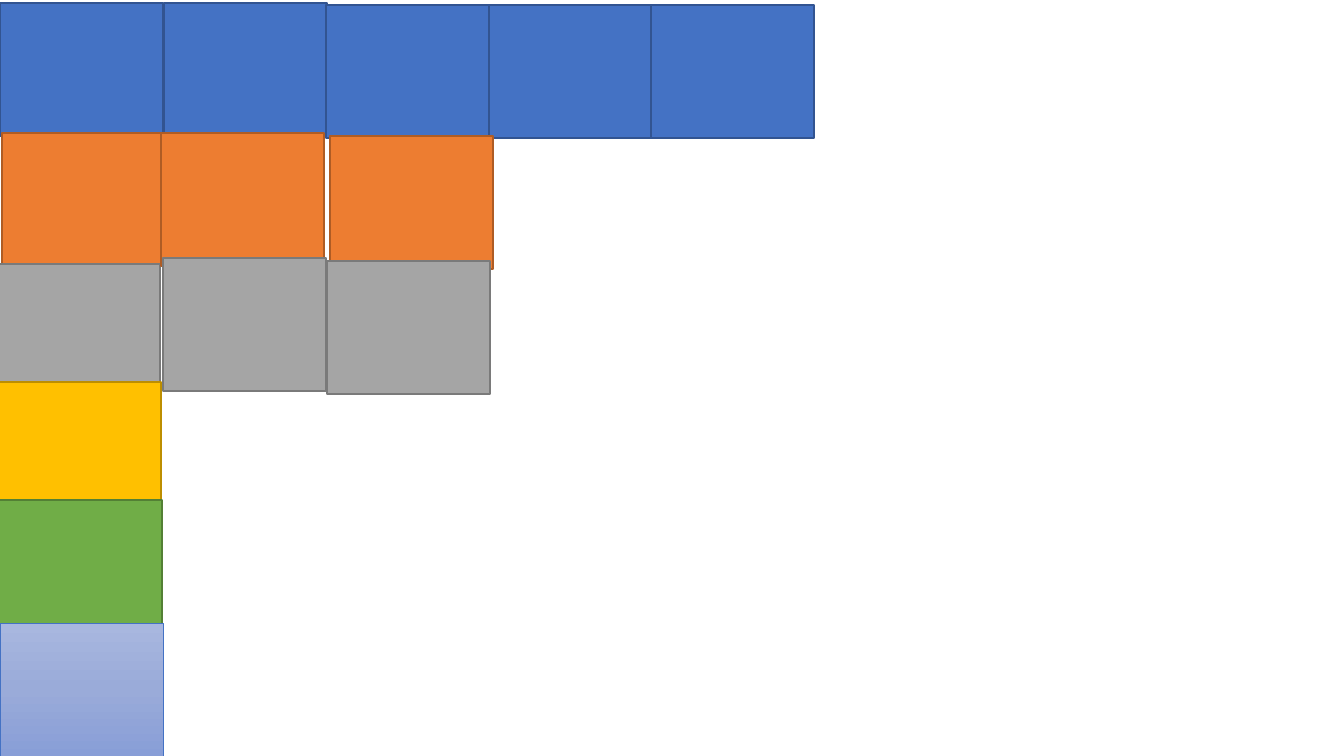
from copy import deepcopy
from dataclasses import dataclass

from pptx import Presentation
from pptx.dml.color import RGBColor
from pptx.enum.shapes import MSO_SHAPE
from pptx.oxml.ns import qn
from pptx.util import Pt

RECTANGLE = MSO_SHAPE.RECTANGLE
EMU_PER_PX = 914400 / 100.8
SLIDE_WIDTH, SLIDE_HEIGHT = 1344, 756
TILE_WIDTH, TILE_HEIGHT = 163, 133


@dataclass(frozen=True)
class Theme:
    """Fill and outline colours with line widths."""
    blue: tuple = ("4472C4", "325491")
    orange: tuple = ("ED7D31", "AF5C24")
    gray: tuple = ("A5A5A5", "7A7A7A")
    yellow: tuple = ("FFC000", "BD8E00")
    green: tuple = ("70AD47", "538035")
    pale_stops: tuple = ((0, "A8B7DF"), (0.5, "9AABD9"), (1, "889ED7"))
    pale_outline: str = "4472C4"
    outline_width: float = 1
    pale_outline_width: float = 0.5


THEME = Theme()

FIRST_COLUMN = (
    (THEME.blue, 0, 3),
    (THEME.orange, 2, 133),
    (THEME.gray, -3, 264),
    (THEME.yellow, -2, 382),
    (THEME.green, -1, 500),
)
PALE_TILE = (0, 623)
ROW_EXTENSIONS = (
    (THEME.blue, ((651, 5), (164, 3), (488, 5), (326, 5))),
    (THEME.orange, ((161, 133), (330, 136))),
    (THEME.gray, ((163, 258), (327, 261))),
)


def px(length):
    """Turn pixels into EMU."""
    return round(length * EMU_PER_PX)


def add_tile(slide, left, top, outline, outline_width):
    """Add an outlined tile that has no shadow."""
    tile = slide.shapes.add_shape(
        RECTANGLE, px(left), px(top), px(TILE_WIDTH), px(TILE_HEIGHT))
    tile.shadow.inherit = False
    tile.line.color.rgb = RGBColor.from_string(outline)
    tile.line.width = Pt(outline_width)
    return tile


def add_solid_tile(slide, colours, left, top):
    """Add a tile with one fill colour."""
    fill_colour, outline = colours
    tile = add_tile(slide, left, top, outline, THEME.outline_width)
    tile.fill.solid()
    tile.fill.fore_color.rgb = RGBColor.from_string(fill_colour)


def add_pale_tile(slide, left, top):
    """Add a tile whose fill darkens downwards."""
    tile = add_tile(slide, left, top, THEME.pale_outline, THEME.pale_outline_width)
    tile.fill.gradient()
    tile.fill.gradient_angle = 270
    stop_list = tile.element.find(".//" + qn("a:gsLst"))
    stop_list.insert(1, deepcopy(stop_list[0]))
    for stop, (position, colour) in zip(tile.fill.gradient_stops, THEME.pale_stops):
        stop.position = position
        stop.color.rgb = RGBColor.from_string(colour)


def main():
    """Build the slide of stacked tile rows."""
    deck = Presentation()
    deck.slide_width, deck.slide_height = px(SLIDE_WIDTH), px(SLIDE_HEIGHT)
    slide = deck.slides.add_slide(deck.slide_layouts[6])
    for colours, left, top in FIRST_COLUMN:
        add_solid_tile(slide, colours, left, top)
    add_pale_tile(slide, *PALE_TILE)
    for colours, corners in ROW_EXTENSIONS:
        for left, top in corners:
            add_solid_tile(slide, colours, left, top)
    deck.save("out.pptx")


if __name__ == "__main__":
    main()
